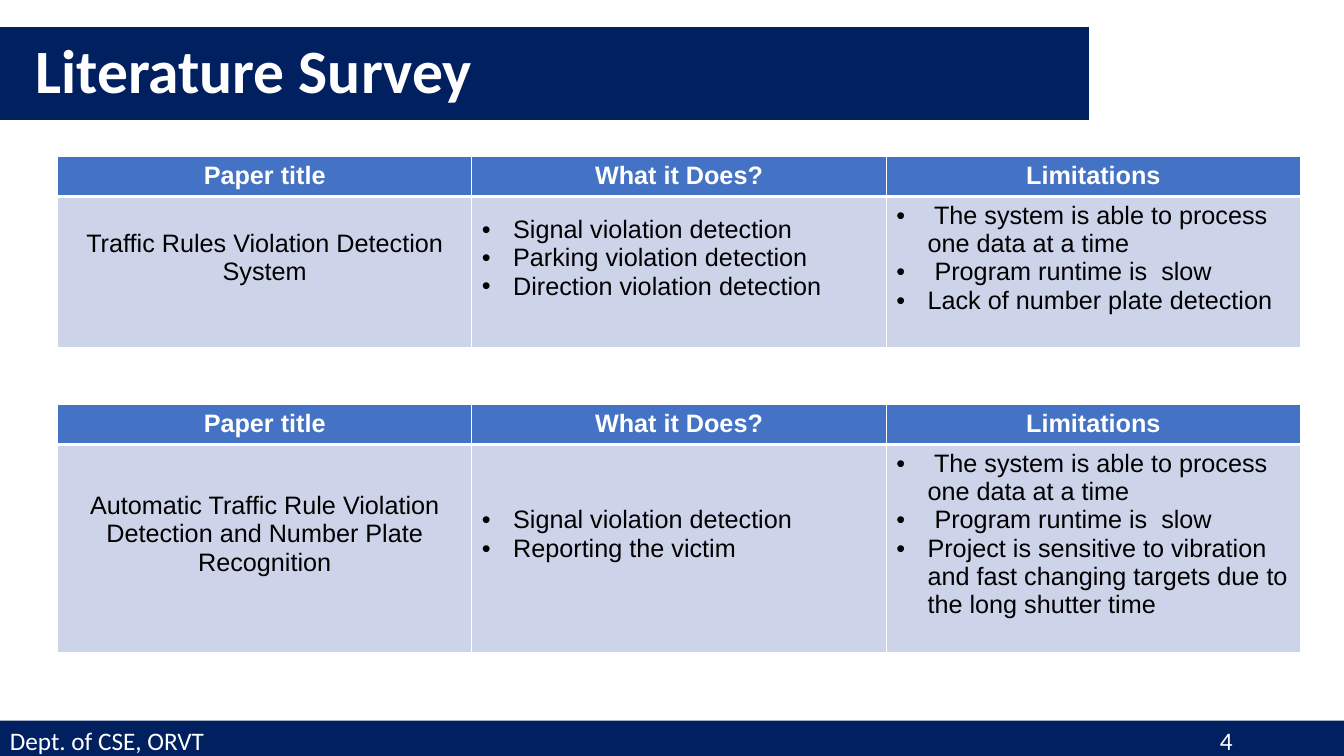
from lxml.etree import SubElement
from pptx import Presentation
from pptx.dml.color import RGBColor
from pptx.enum.shapes import MSO_SHAPE
from pptx.enum.text import MSO_ANCHOR, MSO_AUTO_SIZE, PP_ALIGN
from pptx.oxml import parse_xml
from pptx.oxml.ns import nsdecls, qn
from pptx.util import Inches, Pt

NAVY = RGBColor(0x00, 0x20, 0x60)
BLUE = RGBColor(0x44, 0x72, 0xC4)
PALE_BLUE = RGBColor(0xCD, 0xD4, 0xEA)
WHITE = RGBColor(0xFF, 0xFF, 0xFF)
BLACK = RGBColor(0x00, 0x00, 0x00)

SLIDE_WIDTH = 13.33
TABLE_LEFT = 0.57
COLUMN_WIDTH = 4.11
HEADER_HEIGHT = 0.4
HEADINGS = ["Paper title", "What it Does?", "Limitations"]
SHARED_LIMITS = [
    " The system is able to process one data at a time",
    " Program runtime is  slow",
]
SURVEYS = [
    (1.55, 1.5, "Traffic Rules Violation Detection System",
     ["Signal violation detection", "Parking violation detection",
      "Direction violation detection"],
     SHARED_LIMITS + ["Lack of number plate detection"]),
    (4.01, 2.06,
     "Automatic Traffic Rule Violation Detection and Number Plate Recognition",
     ["Signal violation detection", "Reporting the victim"],
     SHARED_LIMITS + ["Project is sensitive to vibration and fast changing "
                      "targets due to the long shutter time"]),
]


class SurveySlide:
    """Holds the current slide and the fonts its elements share."""

    heading_font = "Calibri"
    table_font = "Arial"

    def __init__(self, deck):
        self.slide = deck.slides.add_slide(deck.slide_layouts[5])

    def add_run(self, paragraph, text, font, size, color, bold=False):
        run = paragraph.add_run()
        run.text = text
        run.font.name = font
        run.font.size = Pt(size)
        run.font.color.rgb = color
        run.font.bold = bold

    def title(self, text):
        banner = self.slide.shapes.title
        banner.left, banner.top = Inches(0), Inches(0.27)
        banner.width, banner.height = Inches(10.8), Inches(0.92)
        banner.fill.solid()
        banner.fill.fore_color.rgb = NAVY
        frame = banner.text_frame
        frame.auto_size = MSO_AUTO_SIZE.NONE
        frame.vertical_anchor = MSO_ANCHOR.MIDDLE
        paragraph = frame.paragraphs[0]
        paragraph.alignment = PP_ALIGN.LEFT
        paragraph.line_spacing = 0.9
        paragraph._p.get_or_add_pPr().set("marL", str(Inches(0.25)))
        self.add_run(paragraph, text, self.heading_font, 44, WHITE, True)

    def footer(self, department, number):
        bar = self.slide.shapes.add_shape(
            MSO_SHAPE.RECTANGLE, Inches(0), Inches(7.15),
            Inches(SLIDE_WIDTH), Inches(0.4))
        bar.shadow.inherit = False
        bar.fill.solid()
        bar.fill.fore_color.rgb = NAVY
        bar.line.fill.background()
        bar.text_frame.vertical_anchor = MSO_ANCHOR.TOP
        paragraph = bar.text_frame.paragraphs[0]
        paragraph.alignment = PP_ALIGN.LEFT
        stops = SubElement(paragraph._p.get_or_add_pPr(), qn("a:tabLst"))
        SubElement(stops, qn("a:tab"), pos=str(Inches(12)), algn="l")
        self.add_run(paragraph, f"{department}\t{number}",
                     self.heading_font, 18, WHITE)

    def bullet(self, paragraph):
        properties = paragraph._p.get_or_add_pPr()
        properties.set("marL", str(Inches(0.31)))
        properties.set("indent", str(-Inches(0.31)))
        SubElement(properties, qn("a:buFont"), typeface="Arial")
        SubElement(properties, qn("a:buChar"), char="•")

    def borders(self, cell, top, bottom):
        """Draw white cell borders; top and bottom are widths in points."""
        widths = {"lnL": 1, "lnR": 1, "lnT": top, "lnB": bottom}
        for place, (edge, width) in enumerate(widths.items()):
            cell._tc.get_or_add_tcPr().insert(place, parse_xml(
                f'<a:{edge} {nsdecls("a")} w="{Pt(width)}"><a:solidFill>'
                f'<a:srgbClr val="{WHITE}"/></a:solidFill></a:{edge}>'))

    def cell(self, cell, lines, header=False, bulleted=False):
        cell.fill.solid()
        cell.fill.fore_color.rgb = BLUE if header else PALE_BLUE
        cell.vertical_anchor = MSO_ANCHOR.TOP if header else MSO_ANCHOR.MIDDLE
        cell.margin_bottom = Inches(0.05 if header else 0.33)
        self.borders(cell, 1 if header else 3, 3 if header else 1)
        frame = cell.text_frame
        for index, line in enumerate(lines):
            paragraph = frame.add_paragraph() if index else frame.paragraphs[0]
            if bulleted:
                self.bullet(paragraph)
            else:
                paragraph.alignment = PP_ALIGN.CENTER
            self.add_run(paragraph, line, self.table_font, 18,
                         WHITE if header else BLACK, header)

    def survey_table(self, top, body_height, paper, abilities, limits):
        table = self.slide.shapes.add_table(
            2, 3, Inches(TABLE_LEFT), Inches(top), Inches(3 * COLUMN_WIDTH),
            Inches(HEADER_HEIGHT + body_height)).table
        table.rows[0].height = Inches(HEADER_HEIGHT)
        table.rows[1].height = Inches(body_height)
        for column, (heading, lines) in enumerate(
                zip(HEADINGS, ([paper], abilities, limits))):
            table.columns[column].width = Inches(COLUMN_WIDTH)
            self.cell(table.cell(0, column), [heading], header=True)
            self.cell(table.cell(1, column), lines, bulleted=column > 0)


def main():
    deck = Presentation()
    deck.slide_width, deck.slide_height = Inches(SLIDE_WIDTH), Inches(7.5)
    page = SurveySlide(deck)
    page.title("Literature Survey")
    page.footer("Dept. of CSE, ORVT", 4)
    for survey in SURVEYS:
        page.survey_table(*survey)
    deck.save("out.pptx")


if __name__ == "__main__":
    main()
